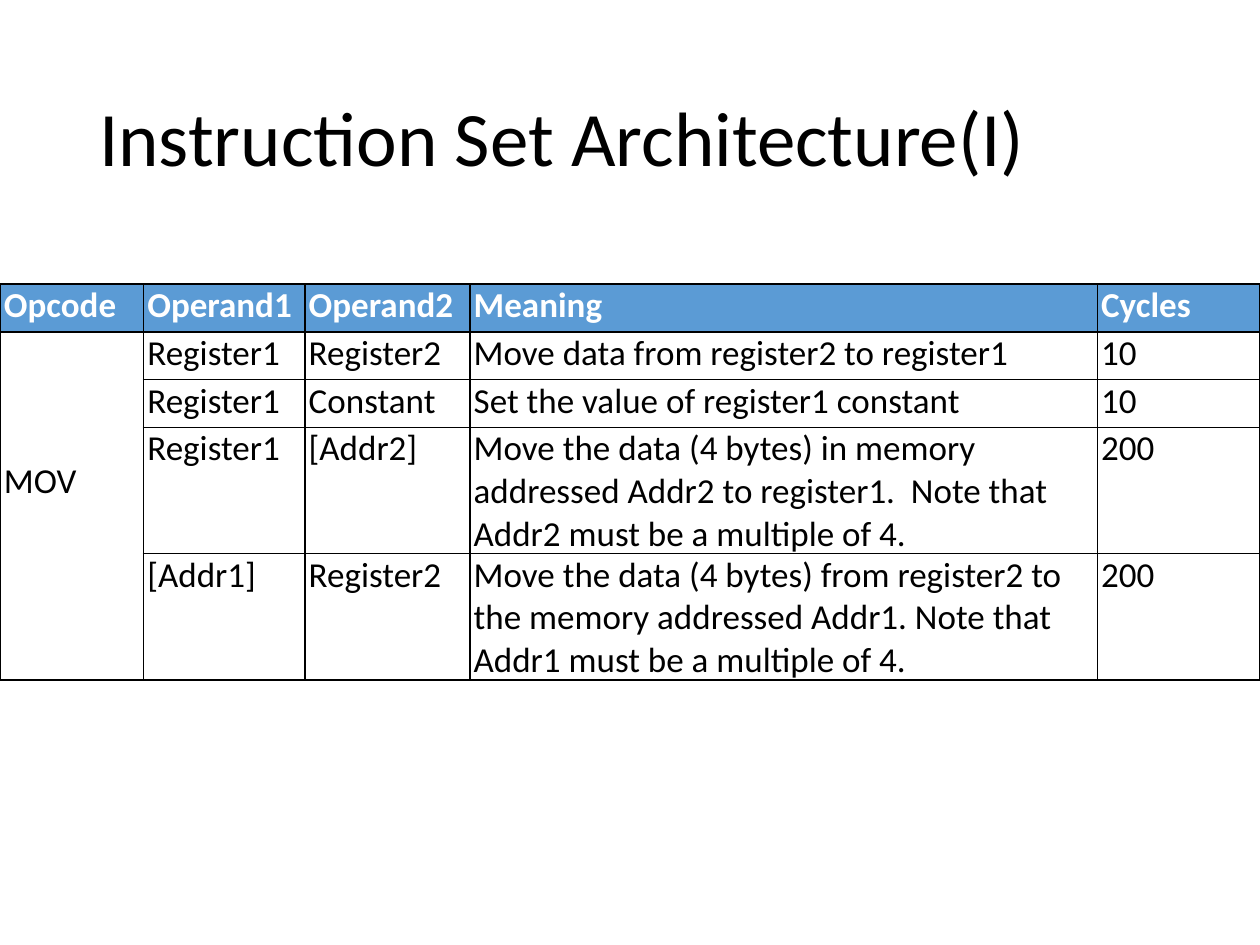
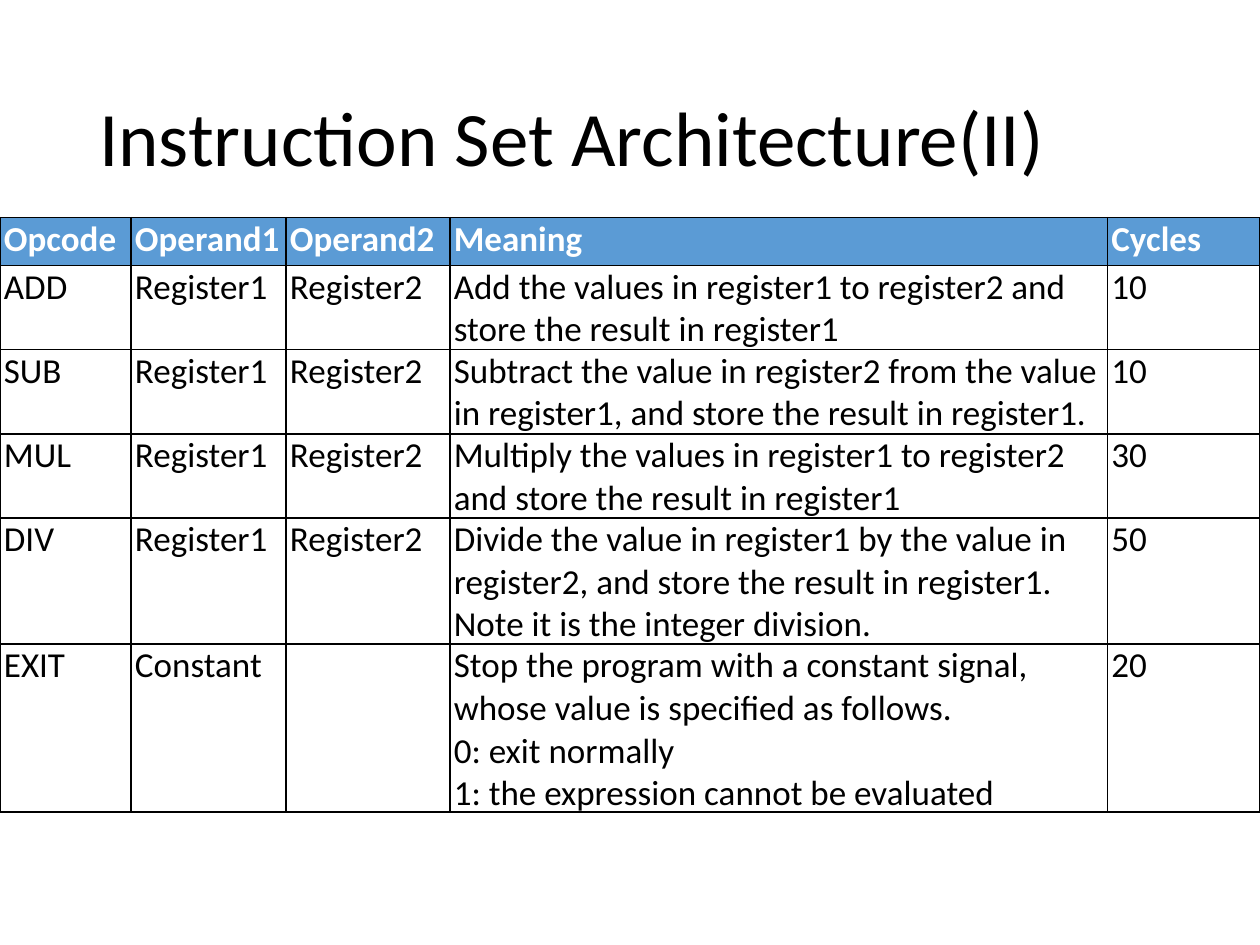
from dataclasses import dataclass

from lxml import etree
from pptx import Presentation
from pptx.dml.color import RGBColor
from pptx.enum.text import MSO_ANCHOR
from pptx.oxml.ns import qn
from pptx.util import Pt

MIDDLE = MSO_ANCHOR.MIDDLE
BLANK = 6

HEADER = ("Opcode", "Operand1", "Operand2", "Meaning", "Cycles")

# A row with an empty opcode continues the instruction above it.
SLIDES = [
    {
        "title": "Instruction Set Architecture(I)",
        "top": 162.2,
        "height": 226.8,
        "columns": (82, 92.2, 94.3, 358.6, 92.9),
        "row_heights": (27.4, 27.4, 27.4, 54.8, 54.8),
        "rows": [
            ("MOV", "Register1", "Register2", "Move data from register2 to register1", "10"),
            ("", "Register1", "Constant", "Set the value of register1 constant", "10"),
            ("", "Register1", "[Addr2]",
             "Move the data (4 bytes) in memory addressed Addr2 to register1.  "
             "Note that Addr2 must be a multiple of 4.", "200"),
            ("", "[Addr1]", "Register2",
             "Move the data (4 bytes) from register2 to the memory addressed Addr1. "
             "Note that Addr1 must be a multiple of 4.", "200"),
        ],
    },
    {
        "title": "Instruction Set Architecture(II)",
        "top": 124.4,
        "height": 339.8,
        "columns": (74.9, 88.6, 93.6, 375.8, 87.1),
        "row_heights": (27.4, 27.4, 27.4, 27.4, 27.4, 82.8),
        "rows": [
            ("ADD", "Register1", "Register2",
             "Add the values in register1 to register2 and store the result in register1", "10"),
            ("SUB", "Register1", "Register2",
             "Subtract the value in register2 from the value in register1, "
             "and store the result in register1.", "10"),
            ("MUL", "Register1", "Register2",
             "Multiply the values in register1 to register2 and store the result in register1",
             "30"),
            ("DIV", "Register1", "Register2",
             "Divide the value in register1 by the value in register2, "
             "and store the result in register1.  Note it is the integer division.", "50"),
            ("EXIT", "Constant", "",
             "Stop the program with a constant signal, whose value is specified as follows.\n"
             "0: exit normally\n1: the expression cannot be evaluated", "20"),
        ],
    },
]


@dataclass(frozen=True)
class Theme:
    font: str = "Calibri"
    text: str = "000000"
    paper: str = "FFFFFF"
    header: str = "5B9BD5"
    title_size: float = 44
    cell_size: float = 20
    border: float = 1
    cell_margin: float = 2.25
    merged_top: float = 73.5  # three text lines above a shared opcode


THEME = Theme()
WIDTH, HEIGHT = 720, 540
TITLE_BOX = (49.6, 28.8, 620.8, 104.4)


def style_text(tf, size, color, bold=False):
    for p in tf.paragraphs:
        for r in p.runs:
            r.font.name = THEME.font
            r.font.size = Pt(size)
            r.font.bold = bold
            r.font.color.rgb = RGBColor.from_string(color)


def add_title(s, text):
    tf = s.shapes.add_textbox(*map(Pt, TITLE_BOX)).text_frame
    tf.word_wrap = True
    tf.vertical_anchor = MIDDLE
    tf.text = text
    tf.paragraphs[0].line_spacing = 0.9
    style_text(tf, THEME.title_size, THEME.text)


def set_borders(cell):
    """Draw all four sides; border elements must precede the cell's fill."""
    tc_pr = cell._tc.get_or_add_tcPr()
    for i, side in enumerate(("a:lnL", "a:lnR", "a:lnT", "a:lnB")):
        ln = etree.Element(qn(side), w=str(Pt(THEME.border)))
        fill = etree.SubElement(ln, qn("a:solidFill"))
        etree.SubElement(fill, qn("a:srgbClr"), val=THEME.text)
        tc_pr.insert(i, ln)


def fill_cell(cell, text, is_header):
    cell.margin_left = cell.margin_right = Pt(THEME.cell_margin)
    cell.margin_top = cell.margin_bottom = 0
    cell.fill.solid()
    cell.fill.fore_color.rgb = RGBColor.from_string(
        THEME.header if is_header else THEME.paper)
    set_borders(cell)
    cell.text_frame.text = text
    style_text(cell.text_frame, THEME.cell_size,
               THEME.paper if is_header else THEME.text, is_header)


def merge_opcodes(table, rows):
    """Join each opcode cell with the empty ones below it."""
    starts = [i for i, row in enumerate(rows) if row[0]]
    for start, end in zip(starts, starts[1:] + [len(rows)]):
        if end - start > 1:
            cell = table.cell(start, 0)
            cell.merge(table.cell(end - 1, 0))
            cell.margin_top = Pt(THEME.merged_top)


def add_instruction_table(s, content):
    rows = [HEADER] + content["rows"]
    frame = s.shapes.add_table(len(rows), len(HEADER), 0, Pt(content["top"]),
                               Pt(WIDTH), Pt(content["height"]))
    table = frame.table
    table.horz_banding = False
    for column, width in zip(table.columns, content["columns"]):
        column.width = Pt(width)
    for row, height in zip(table.rows, content["row_heights"]):
        row.height = Pt(height)
    for i, row in enumerate(rows):
        for j, text in enumerate(row):
            fill_cell(table.cell(i, j), text, i == 0)
    merge_opcodes(table, rows)
    frame.height = Pt(content["height"])


def main():
    prs = Presentation()
    prs.slide_width, prs.slide_height = Pt(WIDTH), Pt(HEIGHT)
    for content in SLIDES:
        s = prs.slides.add_slide(prs.slide_layouts[BLANK])
        add_title(s, content["title"])
        add_instruction_table(s, content)
    prs.save("out.pptx")


if __name__ == "__main__":
    main()
